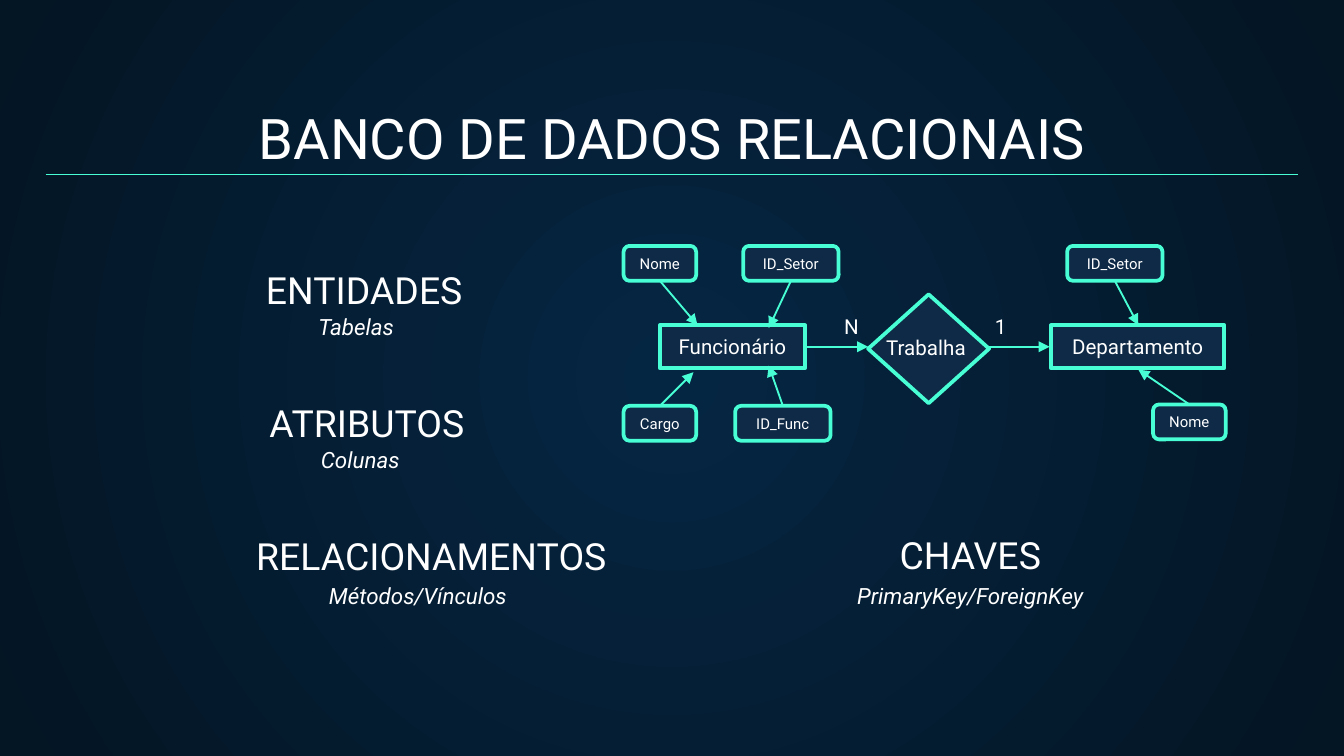
from dataclasses import dataclass

from pptx import Presentation
from pptx.dml.color import RGBColor
from pptx.enum.shapes import MSO_CONNECTOR, MSO_SHAPE
from pptx.enum.text import MSO_ANCHOR, PP_ALIGN
from pptx.oxml.ns import qn
from pptx.util import Inches, Pt
from lxml.etree import SubElement


@dataclass(frozen=True)
class Theme:
    font: str = "Roboto"
    text: RGBColor = RGBColor(0xFF, 0xFF, 0xFF)
    accent: RGBColor = RGBColor(0x48, 0xFF, 0xD5)
    panel: RGBColor = RGBColor(0x0E, 0x2A, 0x47)
    glow: RGBColor = RGBColor(0x05, 0x26, 0x43)
    night: RGBColor = RGBColor(0x04, 0x15, 0x23)
    title_size: int = 30
    heading_size: int = 20
    caption_size: int = 12
    entity_size: int = 11
    attribute_size: int = 8


THEME = Theme()

# heading, left, top, width; caption, left, top
CONCEPTS = [
    ("ENTIDADES", 1.6, 1.76, 2.22, "Tabelas", 1.54, 1.97),
    ("ATRIBUTOS", 1.62, 2.75, 2.22, "Colunas", 1.57, 2.96),
    ("RELACIONAMENTOS", 1.78, 3.74, 2.86, "Métodos/Vínculos", 2.0, 3.97),
    ("CHAVES", 5.79, 3.73, 2.86, "PrimaryKey/ForeignKey", 6.11, 3.97),
]
CONCEPT_HEIGHT = 0.66
CAPTION_WIDTH = 2.22

# name, left, width
ENTITIES = [("Funcionário", 4.91, 1.08), ("Departamento", 7.82, 1.29)]
ENTITY_TOP, ENTITY_HEIGHT = 2.42, 0.32

# name, left, top, width, arrow tip on the entity
ATTRIBUTES = [
    ("Nome", 4.64, 1.83, 0.54, (5.19, 2.42)),
    ("ID_Setor", 5.53, 1.83, 0.71, (5.72, 2.44)),
    ("Cargo", 4.64, 3.02, 0.54, (5.16, 2.77)),
    ("ID_Func", 5.47, 3.02, 0.71, (5.72, 2.72)),
    ("ID_Setor", 7.94, 1.83, 0.71, (8.47, 2.42)),
    ("Nome", 8.58, 3.01, 0.54, (8.47, 2.75)),
]
ATTRIBUTE_HEIGHT = 0.26

LINK_Y = 2.58
LINKS = [(5.99, 6.46), (7.34, 7.81)]
CARDINALITIES = [("N", 6.07), ("1", 7.18)]


def paint_background(page):
    """Radial gradient, lighter in the middle."""
    fill = page.background.fill
    fill.gradient()
    for stop, color in zip(fill.gradient_stops, (THEME.glow, THEME.night)):
        stop.color.rgb = color
    gradient = page.element.find(".//" + qn("a:gradFill"))
    gradient.remove(gradient.find(qn("a:lin")))
    circle = SubElement(gradient, qn("a:path"), path="circle")
    SubElement(circle, qn("a:fillToRect"), l="50000", t="50000", r="50000", b="50000")


def write_text(shape, text, size, anchor, italic=False):
    frame = shape.text_frame
    frame.text = text
    frame.word_wrap = True
    frame.vertical_anchor = anchor
    para = frame.paragraphs[0]
    para.alignment = PP_ALIGN.CENTER
    font = para.runs[0].font
    font.name = THEME.font
    font.size = Pt(size)
    font.color.rgb = THEME.text
    if italic:
        font.italic = True


def add_label(page, text, left, top, width, height, size, italic=False):
    box = page.shapes.add_textbox(Inches(left), Inches(top), Inches(width), Inches(height))
    write_text(box, text, size, MSO_ANCHOR.BOTTOM, italic)
    frame = box.text_frame
    frame.margin_left = frame.margin_right = Inches(0.1)
    frame.margin_top = frame.margin_bottom = Inches(0.1)


def add_node(page, kind, left, top, width, height, text="", size=0):
    node = page.shapes.add_shape(kind, Inches(left), Inches(top), Inches(width), Inches(height))
    node.shadow.inherit = False
    node.fill.solid()
    node.fill.fore_color.rgb = THEME.panel
    node.line.color.rgb = THEME.accent
    node.line.width = Pt(2)
    if text:
        write_text(node, text, size, MSO_ANCHOR.MIDDLE)


def add_line(page, start, end, width, arrow=False):
    connector = page.shapes.add_connector(
        MSO_CONNECTOR.STRAIGHT, *(Inches(value) for value in (*start, *end)))
    connector.line.color.rgb = THEME.accent
    connector.line.width = Pt(width)
    properties = connector.element.spPr
    if arrow:
        SubElement(properties.find(qn("a:ln")), qn("a:tailEnd"), type="triangle")
    SubElement(properties, qn("a:effectLst"))


def add_concepts(page):
    for heading, left, top, width, caption, caption_left, caption_top in CONCEPTS:
        add_label(page, heading, left, top, width, CONCEPT_HEIGHT, THEME.heading_size)
        add_label(page, caption, caption_left, caption_top, CAPTION_WIDTH, CONCEPT_HEIGHT,
                  THEME.caption_size, italic=True)


def add_diagram(page):
    for name, left, width in ENTITIES:
        add_node(page, MSO_SHAPE.RECTANGLE, left, ENTITY_TOP, width, ENTITY_HEIGHT,
                 name, THEME.entity_size)
    add_node(page, MSO_SHAPE.DIAMOND, 6.46, 2.19, 0.9, 0.81)
    add_label(page, "Trabalha", 6.44, 2.51, 0.9, 0.26, THEME.entity_size)
    for name, left, top, width, tip in ATTRIBUTES:
        add_node(page, MSO_SHAPE.ROUNDED_RECTANGLE, left, top, width, ATTRIBUTE_HEIGHT,
                 name, THEME.attribute_size)
        edge = top + ATTRIBUTE_HEIGHT if top < ENTITY_TOP else top
        add_line(page, (left + width / 2, edge), tip, 1, arrow=True)
    for start, end in LINKS:
        add_line(page, (start, LINK_Y), (end, LINK_Y), 1, arrow=True)
    for text, left in CARDINALITIES:
        add_label(page, text, left, 2.43, 0.53, 0.18, THEME.entity_size)


def main():
    deck = Presentation()
    deck.slide_width = Inches(10)
    deck.slide_height = Inches(10 * 9 / 16)
    page = deck.slides.add_slide(deck.slide_layouts[6])
    paint_background(page)
    add_label(page, "BANCO DE DADOS RELACIONAIS", 0.34, 0.71, 9.32, 0.66, THEME.title_size)
    add_line(page, (0.34, 1.3), (9.66, 1.3), 0.75)
    add_concepts(page)
    add_diagram(page)
    deck.save("out.pptx")


if __name__ == "__main__":
    main()
